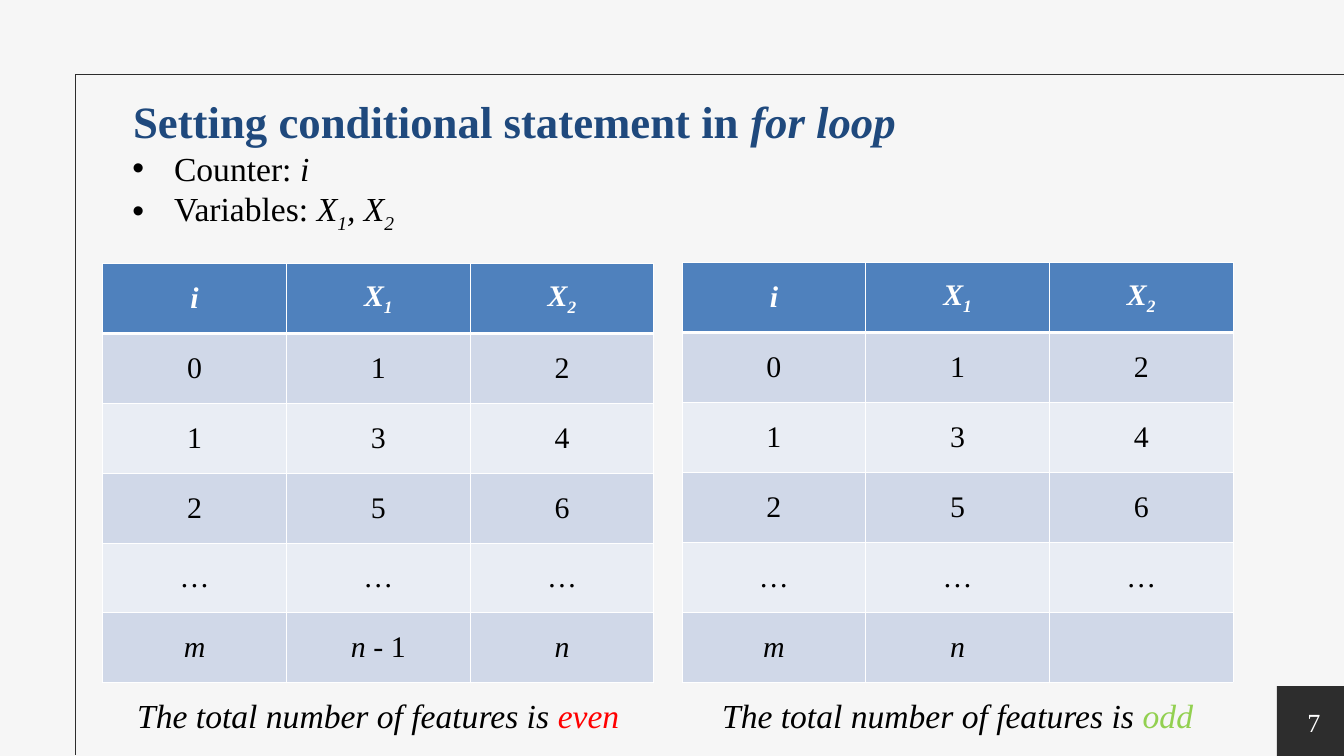
import pptx
import pptx.util
import pptx.dml.color
import pptx.enum.shapes
import pptx.enum.text
import pptx.oxml
import pptx.oxml.ns

Inches = pptx.util.Inches
Align = pptx.enum.text.PP_ALIGN
Anchor = pptx.enum.text.MSO_ANCHOR

COLORS = {
    "background": "F6F6F6", "frame": "2D2D2D", "title": "1F497D",
    "text": "000000", "white": "FFFFFF", "header": "4F81BD",
    "band_dark": "D0D8E8", "band_light": "E9EDF4",
    "even": "FF0000", "odd": "92D050",
}


def rgb(name):
    return pptx.dml.color.RGBColor.from_string(COLORS[name])


def add_xml(parent, tag, body="", attributes=""):
    namespace = pptx.oxml.ns.nsdecls("a")
    parent.append(pptx.oxml.parse_xml(f"<a:{tag} {namespace} {attributes}>{body}</a:{tag}>"))


class SlideBuilder:
    font = "Times New Roman"

    def __init__(self, slide):
        self.slide = slide
        slide.background.fill.solid()
        slide.background.fill.fore_color.rgb = rgb("background")

    def add_runs(self, paragraph, runs, size, color="text", bold=False, align=Align.LEFT):
        """Each run is (text, flags[, color]); flag i is italic, s is subscript."""
        paragraph.alignment = align
        for text, flags, *own_color in runs:
            run = paragraph.add_run()
            run.text = text
            run.font.name = self.font
            run.font.size = pptx.util.Pt(size)
            run.font.bold = bold
            run.font.italic = "i" in flags
            run.font.color.rgb = rgb(own_color[0] if own_color else color)
            if "s" in flags:
                run.font._element.set("baseline", "-25000")

    def frame(self, shape, anchor=Anchor.TOP):
        text_frame = shape.text_frame
        text_frame.word_wrap = True
        text_frame.auto_size = pptx.enum.text.MSO_AUTO_SIZE.NONE
        text_frame.vertical_anchor = anchor
        text_frame.margin_left = text_frame.margin_right = 0
        text_frame.margin_top = text_frame.margin_bottom = 0
        return text_frame

    def title(self, left, top, width, height, runs):
        title = self.slide.shapes.title
        title.left, title.top = Inches(left), Inches(top)
        title.width, title.height = Inches(width), Inches(height)
        paragraph = self.frame(title).paragraphs[0]
        paragraph.line_spacing = 1.5
        self.add_runs(paragraph, runs, 48, "title", bold=True)

    def text(self, left, top, width, height, lines, size=36, color="text",
             align=Align.LEFT, anchor=Anchor.TOP, bullet=False):
        box = self.slide.shapes.add_textbox(
            Inches(left), Inches(top), Inches(width), Inches(height))
        text_frame = self.frame(box, anchor)
        for index, runs in enumerate(lines):
            paragraph = text_frame.add_paragraph() if index else text_frame.paragraphs[0]
            self.add_runs(paragraph, runs, size, color, align=align)
            if bullet:
                properties = paragraph._p.get_or_add_pPr()
                properties.set("marL", str(Inches(0.62)))
                properties.set("indent", str(-Inches(0.62)))
                add_xml(properties, "buFont", attributes='typeface="Arial"')
                add_xml(properties, "buChar", attributes='char="•"')

    def line(self, x1, y1, x2, y2):
        line = self.slide.shapes.add_connector(
            pptx.enum.shapes.MSO_CONNECTOR.STRAIGHT,
            Inches(x1), Inches(y1), Inches(x2), Inches(y2))
        line.line.color.rgb = rgb("frame")
        line.line.width = pptx.util.Pt(0.75)
        add_xml(line._element.spPr, "effectLst")

    def block(self, left, top, width, height, color):
        block = self.slide.shapes.add_shape(
            pptx.enum.shapes.MSO_SHAPE.RECTANGLE,
            Inches(left), Inches(top), Inches(width), Inches(height))
        block.shadow.inherit = False
        block.fill.solid()
        block.fill.fore_color.rgb = rgb(color)
        block.line.fill.background()

    def cell_style(self, cell, row):
        cell.vertical_anchor = Anchor.MIDDLE
        fill = "header" if row == 0 else "band_dark" if row % 2 else "band_light"
        widths = {"L": 1, "R": 1, "T": 3 if row == 1 else 1, "B": 3 if row == 0 else 1}
        for side, points in widths.items():
            add_xml(cell._tc.get_or_add_tcPr(), f"ln{side}",
                    f'<a:solidFill><a:srgbClr val="{COLORS["white"]}"/></a:solidFill>',
                    f'w="{pptx.util.Pt(points)}"')
        cell.fill.solid()
        cell.fill.fore_color.rgb = rgb(fill)

    def table(self, left, top, width, height, rows):
        table = self.slide.shapes.add_table(
            len(rows), len(rows[0]),
            Inches(left), Inches(top), Inches(width), Inches(height)).table
        for row, cells in enumerate(rows):
            for column, runs in enumerate(cells):
                cell = table.cell(row, column)
                self.cell_style(cell, row)
                self.add_runs(cell.text_frame.paragraphs[0], runs, 32,
                              "text" if row else "white", bold=row == 0, align=Align.CENTER)


def main():
    deck = pptx.Presentation()
    deck.slide_width, deck.slide_height = Inches(20), Inches(11.25)
    page = SlideBuilder(deck.slides.add_slide(deck.slide_layouts[5]))

    # Frame lines and page number
    page.line(1.12, 1.12, 1.12, 11.24)
    page.line(20, 1.1, 1.12, 1.1)
    page.block(19, 10.21, 1, 1.04, "frame")
    page.text(17.42, 10.54, 2.23, 0.4, [[("7", "")]], 28, "white",
              Align.RIGHT, Anchor.MIDDLE)

    # Title and definitions
    page.title(1.98, 1, 12.27, 1.1,
               [("Setting conditional statement in ", ""), ("for loop", "i")])
    page.text(1.97, 2.2, 6.45, 1.21, [
        [("Counter: ", ""), ("i", "i")],
        [("Variables: ", ""), ("X", "i"), ("1", "is"), (", X", "i"), ("2", "is")],
    ], bullet=True)

    # Loop tables, which differ only in the last row, with their captions
    header = [[("i", "i")], [("X", "i"), ("1", "is")], [("X", "i"), ("2", "is")]]
    body = [[[(value, "")] for value in values] for values in ("012", "134", "256", "………")]
    last_even = [[("m", "i")], [("n - ", "i"), ("1", "")], [("n", "i")]]
    last_odd = [[("m", "i")], [("n", "i")], []]
    for left, top, last_row, parity in ((1.53, 3.92, last_even, "even"),
                                        (10.15, 3.91, last_odd, "odd")):
        page.table(left, top, 8.2, 6.24, [header, *body, last_row])
        page.text(left, 10.34, 8.2, 0.61,
                  [[("The total number of features is ", "i"), (parity, "i", parity)]],
                  align=Align.CENTER)

    deck.save("out.pptx")


if __name__ == "__main__":
    main()
